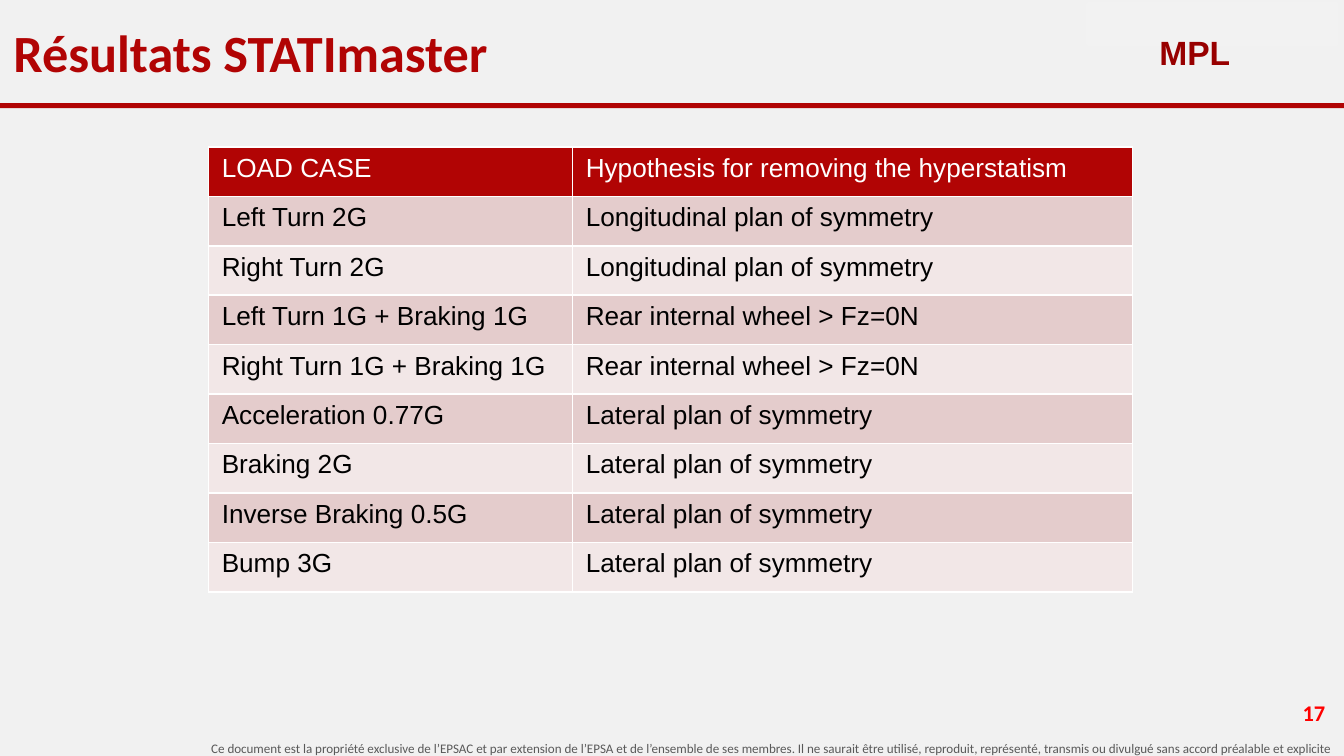
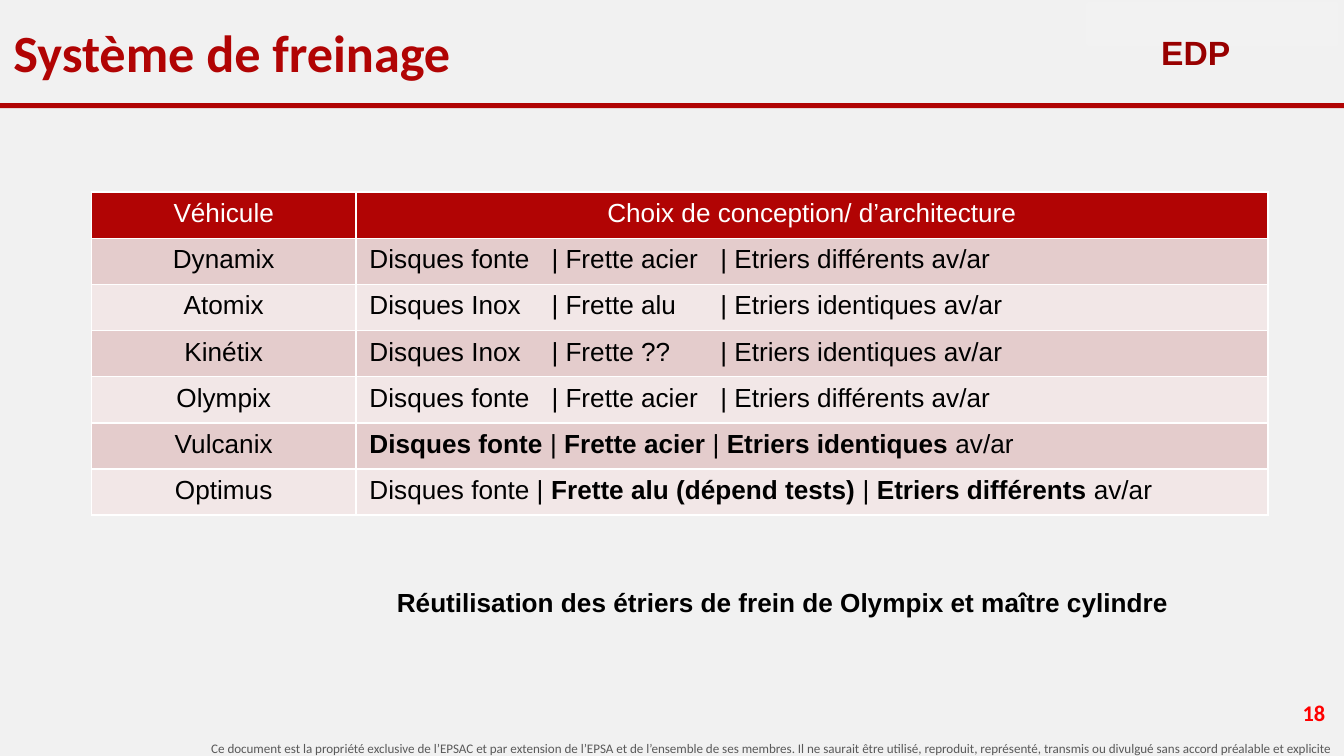
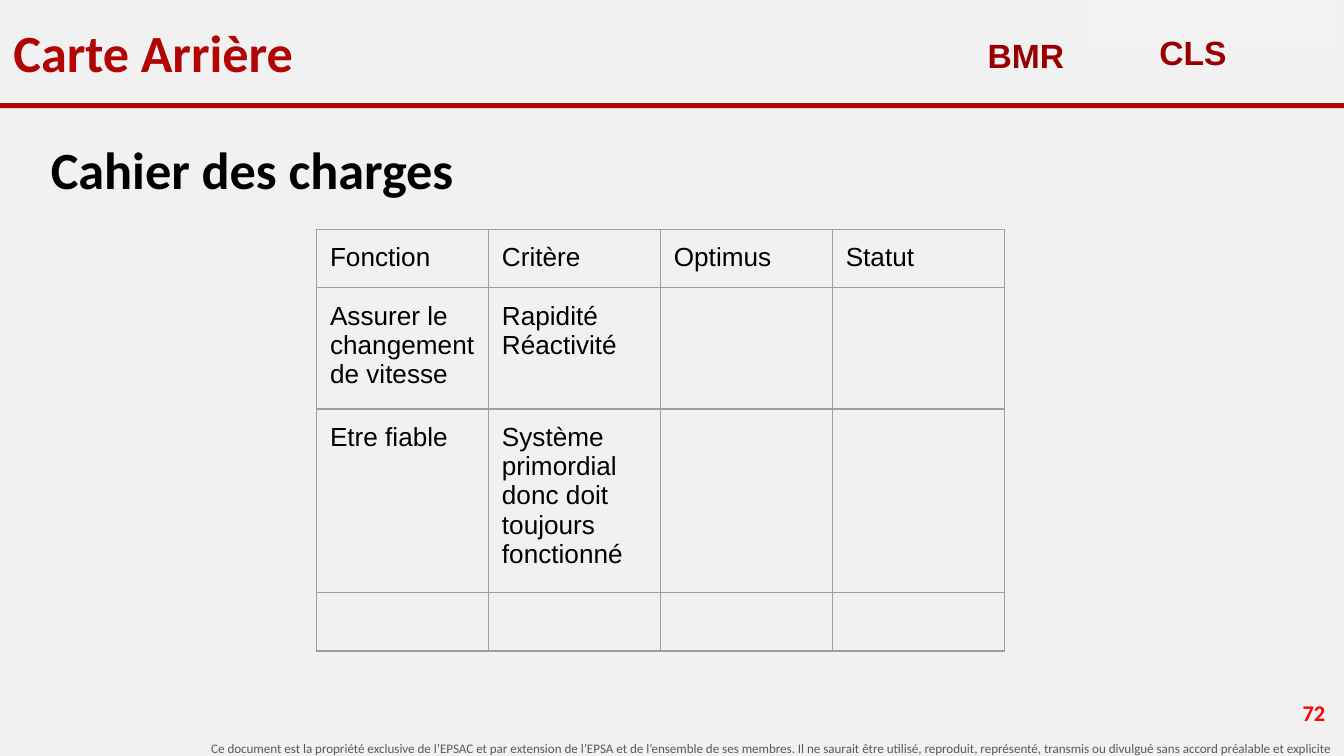
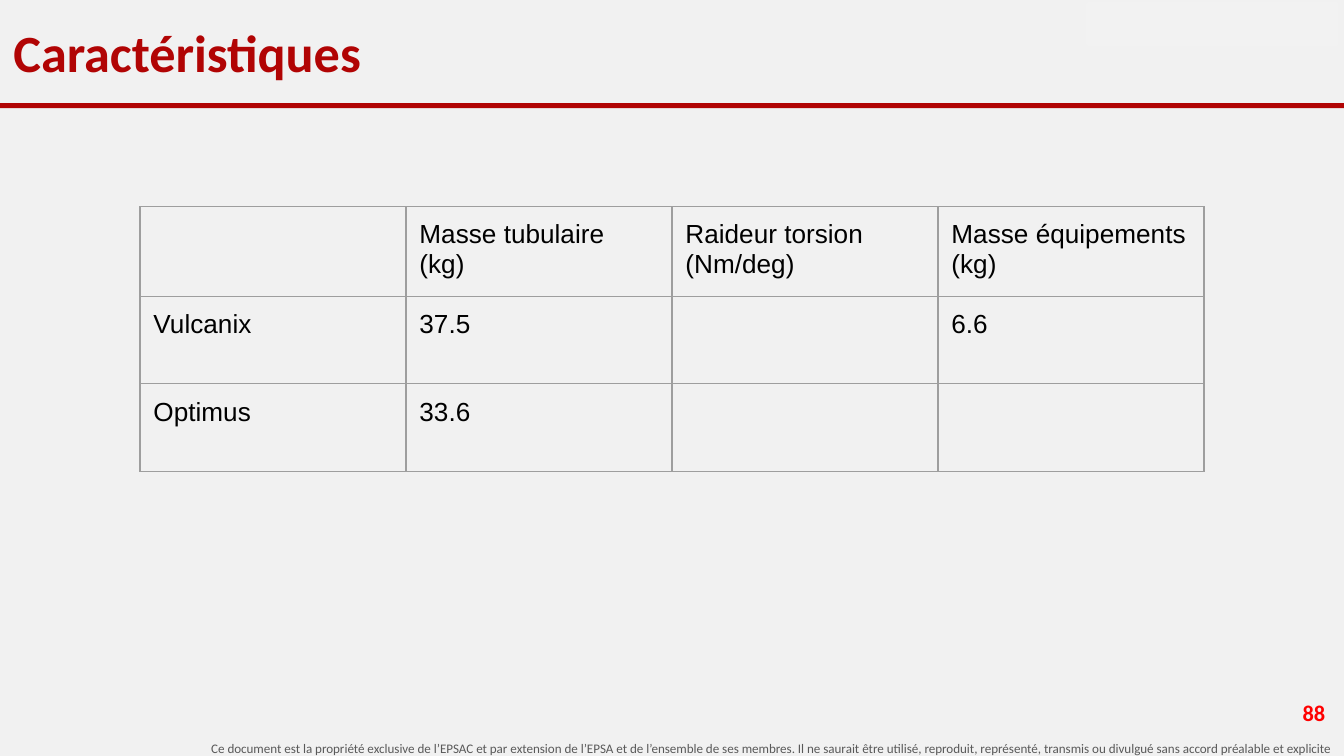
from lxml.etree import SubElement
from pptx import Presentation
from pptx.dml.color import RGBColor
from pptx.enum.shapes import MSO_SHAPE
from pptx.enum.text import MSO_ANCHOR, MSO_AUTO_SIZE, PP_ALIGN
from pptx.oxml.ns import qn
from pptx.util import Pt

RED = RGBColor(0xB1, 0x04, 0x04)
DARK_RED = RGBColor(0x98, 0x00, 0x00)
NUMBER_RED = RGBColor(0xFF, 0x00, 0x00)
PAPER = RGBColor(0xF1, 0xF1, 0xF1)
PATCH = RGBColor(0xF2, 0xF2, 0xF2)
DARK_BAND = RGBColor(0xE4, 0xCC, 0xCC)
LIGHT_BAND = RGBColor(0xF2, 0xE7, 0xE7)
GREY = RGBColor(0x59, 0x59, 0x59)
GRID_GREY = RGBColor(0x9E, 0x9E, 0x9E)
BLACK = RGBColor(0, 0, 0)
WHITE = RGBColor(0xFF, 0xFF, 0xFF)

FOOTER = (
    "Ce document est la propriété exclusive de l’EPSAC et par extension de l’EPSA "
    "et de l’ensemble de ses membres. Il ne saurait être utilisé, reproduit, "
    "représenté, transmis ou divulgué sans accord préalable et explicite"
)

# Text between ** marks is bold; a line break starts a new paragraph.
SLIDES = [
    {
        "title": "Résultats STATImaster",
        "number": 17,
        "authors": [("MPL", 614, 10)],
        "table": {
            "banded": True, "left": 111.6, "top": 78.75,
            "columns": [195, 300], "heights": [26.5] * 9,
            "rows": [
                ("LOAD CASE", "Hypothesis for removing the hyperstatism"),
                ("Left Turn 2G", "Longitudinal plan of symmetry"),
                ("Right Turn 2G", "Longitudinal plan of symmetry"),
                ("Left Turn 1G + Braking 1G", "Rear internal wheel > Fz=0N"),
                ("Right Turn 1G + Braking 1G", "Rear internal wheel > Fz=0N"),
                ("Acceleration 0.77G", "Lateral plan of symmetry"),
                ("Braking 2G", "Lateral plan of symmetry"),
                ("Inverse Braking 0.5G", "Lateral plan of symmetry"),
                ("Bump 3G", "Lateral plan of symmetry"),
            ],
        },
    },
    {
        "title": "Système de freinage",
        "number": 18,
        "authors": [("EDP", 615, 10)],
        "table": {
            "banded": True, "left": 49, "top": 103,
            "columns": [141.75, 488.5], "heights": [24.7] * 7,
            "centred": True, "tabs": (97.5, 188),
            "rows": [
                ("Véhicule", "Choix de conception/ d’architecture"),
                ("Dynamix", "Disques fonte\t| Frette acier\t| Etriers différents av/ar"),
                ("Atomix", "Disques Inox\t| Frette alu\t| Etriers identiques av/ar"),
                ("Kinétix", "Disques Inox\t| Frette ??\t| Etriers identiques av/ar"),
                ("Olympix", "Disques fonte\t| Frette acier\t| Etriers différents av/ar"),
                ("Vulcanix", "**Disques fonte** | **Frette acier** |** Etriers identiques **av/ar"),
                ("Optimus", "Disques fonte | **Frette alu (dépend tests)** |** Etriers différents** av/ar"),
            ],
        },
        "note": "Réutilisation des étriers de frein de Olympix et maître cylindre",
    },
    {
        "title": "Carte Arrière",
        "number": 72,
        "authors": [("CLS", 614, 10), ("BMR", 522, 11.5)],
        "body": "Cahier des charges",
        "table": {
            "left": 169.6, "top": 123, "columns": [92.1] * 4,
            "heights": [30, 61.5, 93, 30],
            "rows": [
                ("Fonction", "Critère", "Optimus", "Statut"),
                ("Assurer le changement de vitesse", "Rapidité\nRéactivité", "", ""),
                ("Etre fiable", "Système primordial donc doit toujours fonctionné", "", ""),
                ("", "", "", ""),
            ],
        },
    },
    {
        "title": "Caractéristiques",
        "number": 88,
        "authors": [],
        "table": {
            "left": 75, "top": 110.7, "columns": [142.5] * 4,
            "heights": [46.9] * 3,
            "rows": [
                ("", "Masse tubulaire\n(kg)", "Raideur torsion\n(Nm/deg)", "Masse équipements\n(kg)"),
                ("Vulcanix", "37.5", "", "6.6"),
                ("Optimus", "33.6", "", ""),
            ],
        },
    },
]


def write(frame, text, size=14, font="Arial", color=BLACK, bold=False,
          align=PP_ALIGN.LEFT, tabs=()):
    """Fill a text frame, one paragraph per line, with ** marks toggling bold."""
    frame.word_wrap = True
    for index, line in enumerate(text.split("\n")):
        para = frame.add_paragraph() if index else frame.paragraphs[0]
        para.alignment = align
        para.space_before = Pt(0)
        if tabs:
            stops = SubElement(para._p.get_or_add_pPr(), qn("a:tabLst"))
            for position in tabs:
                SubElement(stops, qn("a:tab"), pos=str(Pt(position)), algn="l")
        for part, words in enumerate(line.split("**")):
            if words:
                span = para.add_run()
                span.text = words
                span.font.size = Pt(size)
                span.font.name = font
                span.font.color.rgb = color
                span.font.bold = bold or part % 2 == 1
        if not line:
            SubElement(para._p, qn("a:endParaRPr"), sz=str(size * 100))


def set_margins(target, vertical):
    target.margin_left = target.margin_right = Pt(7.2)
    target.margin_top = target.margin_bottom = Pt(vertical)


def place(shape, left, top, width, height):
    shape.left, shape.top = Pt(left), Pt(top)
    shape.width, shape.height = Pt(width), Pt(height)


def add_text(page, text, area, margin=7.2, anchor=MSO_ANCHOR.TOP, **style):
    box = page.shapes.add_textbox(*map(Pt, area))
    set_margins(box.text_frame, margin)
    box.text_frame.vertical_anchor = anchor
    write(box.text_frame, text, **style)


def fill_placeholder(shape, text, area, anchor, **style):
    place(shape, *area)
    frame = shape.text_frame
    frame.auto_size = MSO_AUTO_SIZE.NONE
    frame.vertical_anchor = anchor
    set_margins(frame, 7.2)
    write(frame, text, size=28, font="Calibri", bold=True, **style)


def add_block(page, color, area, outline=None):
    block = page.shapes.add_shape(MSO_SHAPE.RECTANGLE, *map(Pt, area))
    block.shadow.inherit = False
    block.fill.solid()
    block.fill.fore_color.rgb = color
    if outline:
        block.line.color.rgb = color
        block.line.width = Pt(outline)
    else:
        block.line.fill.background()


def set_borders(cell, color, width):
    properties = cell._tc.get_or_add_tcPr()
    for side in "LRTB":
        line = SubElement(properties, qn(f"a:ln{side}"), w=str(Pt(width)))
        fill = SubElement(line, qn("a:solidFill"))
        SubElement(fill, qn("a:srgbClr"), val=str(color))


def add_grid(page, left, top, columns, heights, rows, banded=False,
             centred=False, tabs=()):
    """Add a table; centred applies to the header row and the first column."""
    frame = page.shapes.add_table(len(rows), len(columns), Pt(left), Pt(top),
                                  Pt(sum(columns)), Pt(sum(heights)))
    table = frame.table
    table.first_row = table.horz_banding = False
    for column, width in zip(table.columns, columns):
        column.width = Pt(width)
    for r, (texts, height) in enumerate(zip(rows, heights)):
        table.rows[r].height = Pt(height)
        band = PAPER
        if banded:
            band = RED if r == 0 else DARK_BAND if r % 2 else LIGHT_BAND
        for c, text in enumerate(texts):
            cell = table.cell(r, c)
            set_margins(cell, 3.6 if banded else 7.2)
            set_borders(cell, *((WHITE, 1) if banded else (GRID_GREY, 0.75)))
            cell.fill.solid()
            cell.fill.fore_color.rgb = band
            write(cell.text_frame, text,
                  color=WHITE if banded and r == 0 else BLACK,
                  align=PP_ALIGN.CENTER if centred and 0 in (r, c) else PP_ALIGN.LEFT,
                  tabs=tabs if "\t" in text else ())


def add_page(deck, content):
    layout = deck.slide_layouts[1 if "body" in content else 5]
    page = deck.slides.add_slide(layout)
    add_text(page, FOOTER, (0, 393, 720, 16), margin=3.6, size=7,
             font="Calibri", color=GREY, align=PP_ALIGN.RIGHT)
    add_block(page, RED, (0, 55.3, 720, 2.7))
    add_block(page, PATCH, (583, 2, 133, 21.5), outline=2)
    add_text(page, str(content["number"]), (643.5, 368.8, 73.5, 26), margin=3.6,
             anchor=MSO_ANCHOR.MIDDLE, size=12, font="Calibri",
             color=NUMBER_RED, bold=True, align=PP_ALIGN.RIGHT)
    fill_placeholder(page.shapes.title, content["title"], (0, 1.5, 720, 52),
                     MSO_ANCHOR.MIDDLE, color=RED)
    if "body" in content:
        body = page.placeholders[1]
        fill_placeholder(body, content["body"], (20, 66.2, 680, 272), MSO_ANCHOR.TOP)
        properties = body.text_frame.paragraphs[0]._p.get_or_add_pPr()
        properties.set("marL", "0")
        properties.set("indent", "0")
        SubElement(properties, qn("a:buNone"))
    add_grid(page, **content["table"])
    for initials, left, top in content["authors"]:
        add_text(page, initials, (left, top, 60, 35), size=18,
                 color=DARK_RED, bold=True)
    if "note" in content:
        add_text(page, content["note"], (205.5, 310.5, 435, 24), margin=3.6, bold=True)


def main():
    deck = Presentation()
    deck.slide_width, deck.slide_height = Pt(720), Pt(405)
    background = deck.slide_master.background.fill
    background.solid()
    background.fore_color.rgb = PAPER
    for content in SLIDES:
        add_page(deck, content)
    deck.save("out.pptx")


if __name__ == "__main__":
    main()
